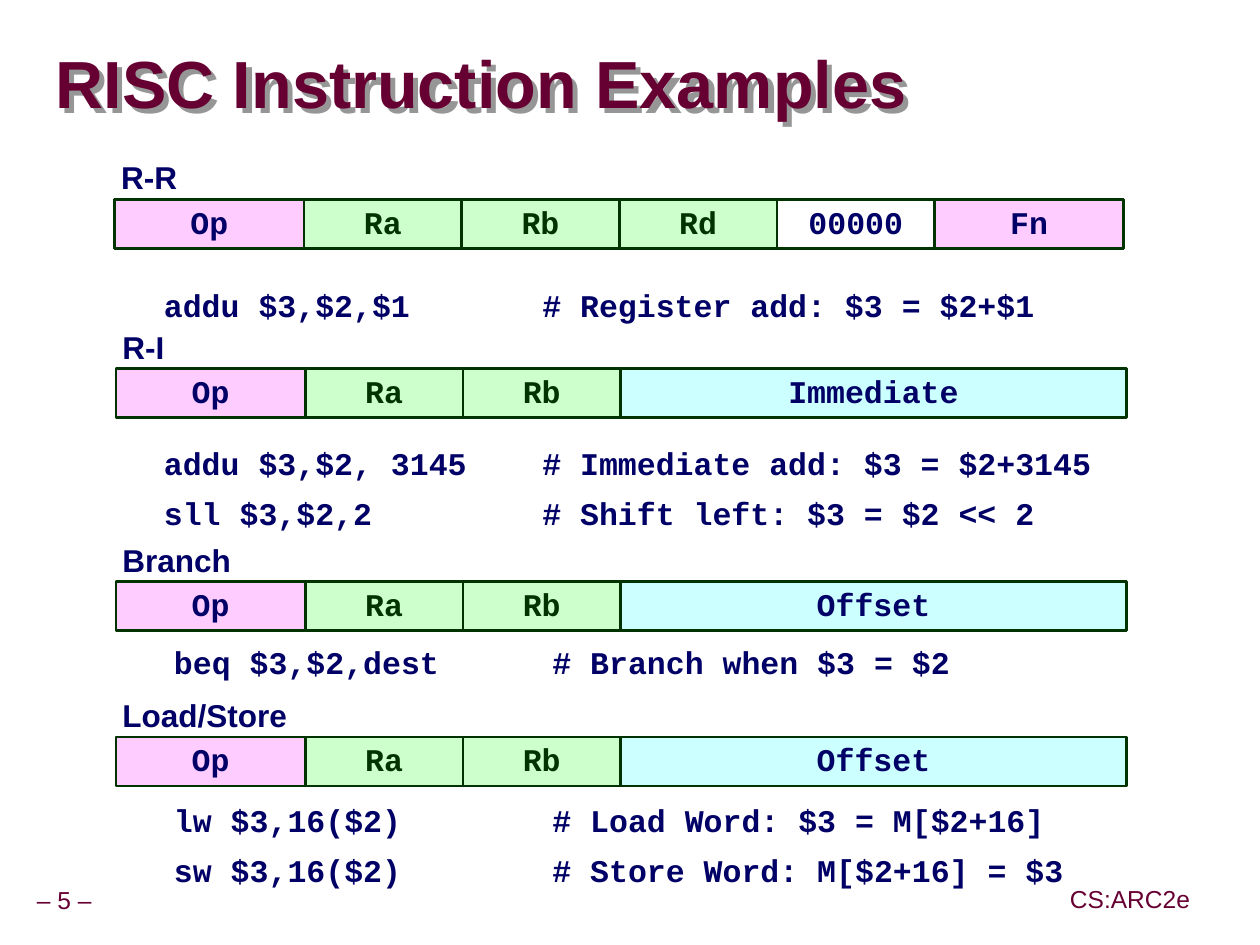
from lxml import etree
from pptx import Presentation
from pptx.dml.color import RGBColor
from pptx.enum.shapes import MSO_SHAPE
from pptx.enum.text import MSO_ANCHOR, MSO_AUTO_SIZE, PP_ALIGN
from pptx.oxml.ns import qn
from pptx.util import Inches, Pt

RECTANGLE = MSO_SHAPE.RECTANGLE
TOP, MIDDLE = MSO_ANCHOR.TOP, MSO_ANCHOR.MIDDLE
LEFT, CENTER = PP_ALIGN.LEFT, PP_ALIGN.CENTER
NO_AUTOFIT = MSO_AUTO_SIZE.NONE
TITLE_ONLY = 5

MAROON, NAVY, GREEN, GREY = "660033", "000066", "003300", "969696"
PINK, MINT, CYAN, WHITE = "FFCCFF", "CCFFCC", "CCFFFF", "FFFFFF"
SANS, MONO = "Arial", "Courier New"
FIELD_HEIGHT, LABEL_RISE, COMMENT_TAB = 0.39, 0.34, 3

# Field: text, width, fill, text colour
OP = ("Op", 1.5, PINK, NAVY)
RA = ("Ra", 1.25, MINT, GREEN)
RB = ("Rb", 1.25, MINT, GREEN)
RD = ("Rd", 1.25, MINT, GREEN)
ZEROS = ("00000", 1.25, WHITE, NAVY)
FN = ("Fn", 1.5, PINK, NAVY)
IMMEDIATE = ("Immediate", 4.01, CYAN, NAVY)
OFFSET = ("Offset", 4.01, CYAN, NAVY)

# Format: label, left, top, fields
FORMATS = [
    ("R-R", 0.91, 1.58, [OP, RA, RB, RD, ZEROS, FN]),
    ("R-I", 0.92, 2.92, [OP, RA, RB, IMMEDIATE]),
    ("Branch", 0.92, 4.61, [OP, RA, RB, OFFSET]),
    ("Load/Store", 0.92, 5.84, [OP, RA, RB, OFFSET]),
]

# Example: left, top, lines of code
EXAMPLES = [
    (1.25, 2.25, ["addu $3,$2,$1\t# Register add: $3 = $2+$1"]),
    (1.25, 3.5, ["addu $3,$2, 3145\t# Immediate add: $3 = $2+3145",
                 "sll $3,$2,2\t# Shift left: $3 = $2 << 2"]),
    (1.33, 5.08, ["beq $3,$2,dest\t# Branch when $3 = $2"]),
    (1.33, 6.33, ["lw $3,16($2)\t# Load Word: $3 = M[$2+16]",
                  "sw $3,16($2)\t# Store Word: M[$2+16] = $3"]),
]


def rgb(color):
    return RGBColor.from_string(color)


def inches(*lengths):
    return [Inches(length) for length in lengths]


def set_text(shape, lines, font, size, color, bold=True, align=LEFT,
             anchor=MIDDLE, inset=0.05, spacing=0.9, wrap=True):
    frame = shape.text_frame
    frame.auto_size = NO_AUTOFIT
    frame.word_wrap = wrap
    frame.vertical_anchor = anchor
    frame.margin_left = frame.margin_right = Inches(inset)
    frame.margin_top = frame.margin_bottom = Inches(inset)
    frame.text = "\n".join(lines)
    for para in frame.paragraphs:
        para.alignment = align
        para.line_spacing = spacing
        para.font.name = font
        para.font.size = Pt(size)
        para.font.bold = bold
        para.font.color.rgb = rgb(color)


def add_text(shapes, lines, left, top, width, height, *style, **options):
    box = shapes.add_textbox(*inches(left, top, width, height))
    set_text(box, lines, *style, **options)
    return box


def add_title(slide, text):
    title = slide.shapes.title
    title.left, title.top, title.width, title.height = inches(0.44, 0.27, 9.52, 0.85)
    set_text(title, [text], SANS, 38, MAROON, inset=0, spacing=0.87)
    effects = etree.SubElement(title.element.spPr, qn("a:effectLst"))
    shadow = etree.SubElement(effects, qn("a:outerShdw"), dist=str(Inches(0.06)),
                              dir="2700000", algn="tl", rotWithShape="0")
    etree.SubElement(shadow, qn("a:srgbClr"), val=GREY)


def add_field(shapes, left, top, text, width, fill, color):
    field = shapes.add_shape(RECTANGLE, *inches(left, top, width, FIELD_HEIGHT))
    field.shadow.inherit = False
    field.fill.solid()
    field.fill.fore_color.rgb = rgb(fill)
    field.line.color.rgb = rgb(GREEN)
    field.line.width = Pt(1.5)
    set_text(field, [text], MONO, 18, color, align=CENTER)


def add_format(slide, label, left, top, fields):
    """Group a label with its row of adjoining instruction fields."""
    shapes = slide.shapes.add_group_shape().shapes
    add_text(shapes, [label], left, top - LABEL_RISE, 1.58, 0.37, SANS, 18, NAVY)
    for text, width, fill, color in fields:
        add_field(shapes, left, top, text, width, fill, color)
        left += width


def add_example(slide, left, top, lines):
    """Add code lines whose comments align at a tab stop."""
    height = 0.37 + 0.42 * (len(lines) - 1)
    box = add_text(slide.shapes, lines, left, top, 7.8, height, MONO, 18, NAVY, anchor=TOP)
    paras = box.text_frame.paragraphs
    for para in paras[1:]:
        para.space_before = Pt(9.5)
    for para in paras:
        properties = para._p.get_or_add_pPr()
        tabs = etree.Element(qn("a:tabLst"))
        etree.SubElement(tabs, qn("a:tab"), pos=str(Inches(COMMENT_TAB)), algn="l")
        properties.find(qn("a:defRPr")).addprevious(tabs)


def add_footer(slide, text, left, top, width):
    add_text(slide.shapes, [text], left, top, width, 0.31, SANS, 14, MAROON,
             bold=False, align=CENTER, wrap=False)


def main():
    deck = Presentation()
    deck.slide_width, deck.slide_height = inches(9.99, 7.49)
    slide = deck.slides.add_slide(deck.slide_layouts[TITLE_ONLY])
    add_title(slide, "RISC Instruction Examples")
    for instruction_format in FORMATS:
        add_format(slide, *instruction_format)
    for example in EXAMPLES:
        add_example(slide, *example)
    add_footer(slide, "– 5 –", 0.18, 6.99, 0.66)
    add_footer(slide, "CS:ARC2e", 8.44, 6.98, 1.04)
    deck.save("out.pptx")


if __name__ == "__main__":
    main()
